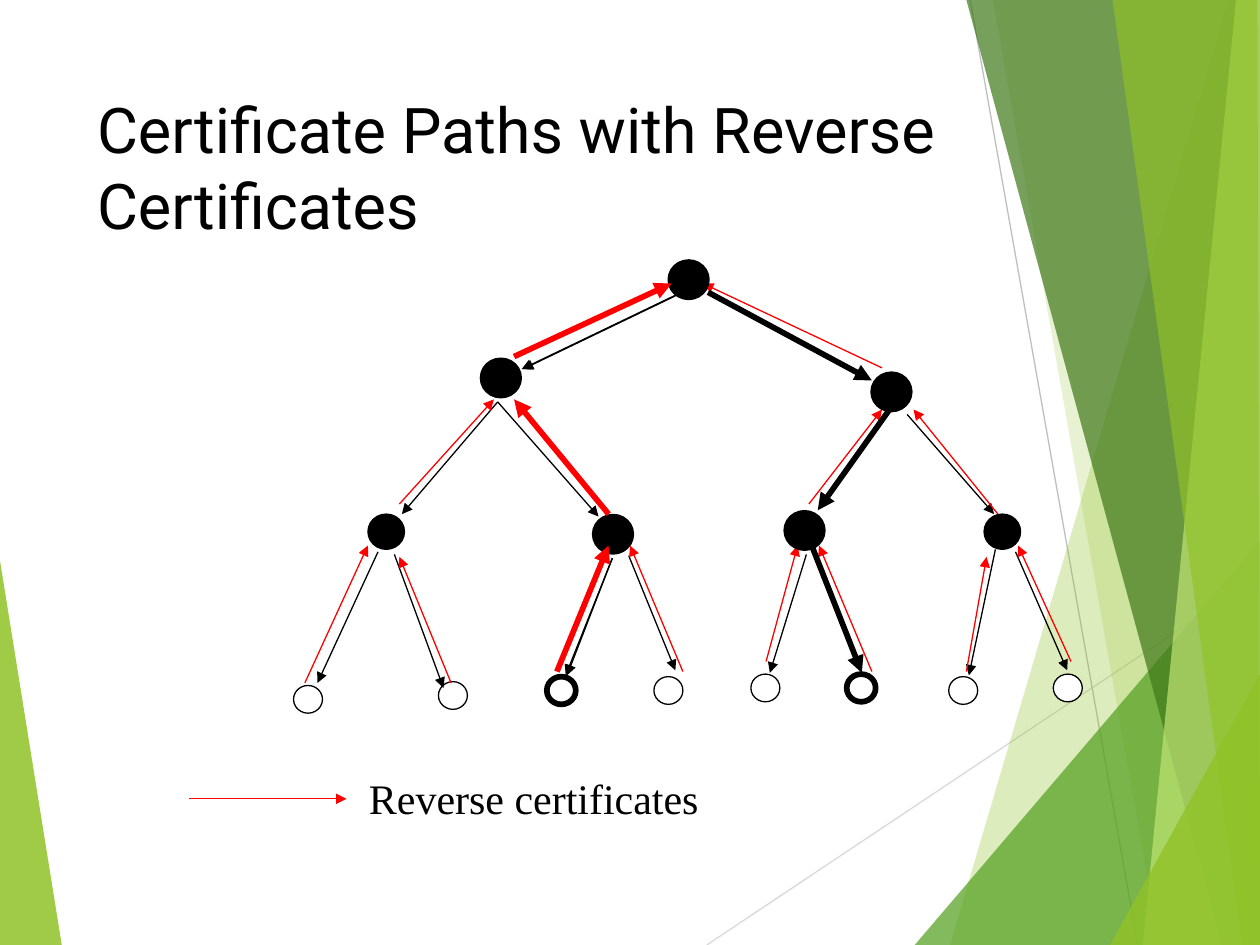
from lxml import etree
from pptx import Presentation
from pptx.dml.color import RGBColor
from pptx.enum.shapes import MSO_CONNECTOR, MSO_SHAPE
from pptx.enum.text import MSO_ANCHOR, PP_ALIGN
from pptx.oxml.ns import qn
from pptx.util import Inches, Pt

LINE, OVAL = MSO_CONNECTOR.STRAIGHT, MSO_SHAPE.OVAL
TOP, LEFT = MSO_ANCHOR.TOP, PP_ALIGN.LEFT
WIDE, HIGH = 10, 7.5
THIN, BOLD = 0.75, 3.25
BIG, SMALL = (0.29, 0.28), (0.23, 0.22)

COLORS = {
    "black": "000000", "white": "FFFFFF", "red": "FF0000",
    "pale": "D9D9D9", "gray": "BFBFBF",
    "lime": "90C226", "green": "54A021", "dark": "3F7819", "light": "C0E474",
}

# Backdrop facets: color, opacity in percent, corners
WEDGE = ("lime", 85, [(0, 4.45), (0.49, HIGH), (0, HIGH)])
FACETS = [
    ("lime", 30, [(9.75, 0), (7.54, HIGH), (WIDE, HIGH), (WIDE, 0)]),
    ("lime", 20, [(7.88, 0), (9.2, HIGH), (WIDE, HIGH), (WIDE, 0)]),
    ("green", 72, [(7.26, HIGH), (WIDE, 4.29), (WIDE, HIGH)]),
    ("dark", 70, [(7.67, 0), (9.7, HIGH), (WIDE, HIGH), (WIDE, 0)]),
    ("light", 70, [(9.81, 0), (9.07, HIGH), (WIDE, HIGH), (WIDE, 0)]),
    ("lime", 65, [(8.83, 0), (9.86, HIGH), (WIDE, HIGH), (9.98, 0)]),
    ("lime", 80, [(8.81, HIGH), (WIDE, 5.35), (WIDE, HIGH)]),
]

# Tree nodes: left, top
PLAIN_NODES = [(2.92, 4.08), (7.81, 4.08)]
PLAIN_LEAVES = [(2.33, 5.44), (3.48, 5.41), (5.19, 5.37), (5.96, 5.35),
                (7.53, 5.37), (8.36, 5.35)]
PATH_NODES = [(5.32, 2.08), (3.83, 2.86), (6.93, 2.97), (4.72, 4.1), (6.24, 4.07)]
PATH_LEAVES = [(4.34, 5.37), (6.72, 5.35)]

# Arrows: from x, from y, to x, to y
ISSUED = [
    (5.46, 2.3, 4.15, 2.93), (5.45, 2.3, 4.14, 2.93),
    (3.95, 3.19, 3.19, 4.08), (3.95, 3.19, 4.75, 4.1), (7.2, 3.29, 7.89, 4.08),
    (3, 4.38, 2.52, 5.42), (3.13, 4.4, 3.52, 5.46),
    (4.86, 4.43, 4.5, 5.36), (4.86, 4.43, 4.49, 5.36), (4.99, 4.41, 5.36, 5.32),
    (6.4, 4.4, 6.11, 5.34), (7.9, 4.36, 7.69, 5.36), (8.06, 4.38, 8.47, 5.32),
]
REVERSE = [
    (7, 2.92, 5.58, 2.25), (3.17, 4, 3.92, 3.17),
    (6.42, 4, 7, 3.25), (7.92, 4.08, 7.25, 3.25),
    (2.42, 5.42, 2.92, 4.33), (3.58, 5.42, 3.17, 4.42), (5.42, 5.33, 5, 4.33),
    (6.08, 5.25, 6.33, 4.33), (6.92, 5.33, 6.5, 4.33),
    (7.67, 5.33, 7.83, 4.42), (8.5, 5.25, 8.08, 4.33),
]
PATH_DOWN = [(5.62, 2.32, 6.92, 3.02), (7.06, 3.25, 6.49, 4.05),
             (6.45, 4.35, 6.84, 5.34)]
PATH_UP = [(4.42, 5.33, 4.83, 4.33), (4.83, 4.08, 4.08, 3.17),
           (4.08, 2.83, 5.33, 2.25)]
KEY = (1.5, 6.34, 2.75, 6.34)


def rgb(name):
    return RGBColor.from_string(COLORS[name])


def facet(slide, color, alpha, spots):
    spots = [(Inches(x), Inches(y)) for x, y in spots]
    pen = slide.shapes.build_freeform(*spots[0])
    pen.add_line_segments(spots[1:], close=True)
    shape = pen.convert_to_shape()
    shape.shadow.inherit = False
    shape.line.fill.background()
    shape.fill.solid()
    shape.fill.fore_color.rgb = rgb(color)
    tint = shape.fill._xPr.find(".//" + qn("a:srgbClr"))
    etree.SubElement(tint, qn("a:alpha"), val=str(alpha * 1000))


def line(slide, ends, color, width=THIN, head=True):
    link = slide.shapes.add_connector(LINE, *map(Inches, ends))
    link.line.color.rgb = rgb(color)
    link.line.width = Pt(width)
    if head:
        etree.SubElement(link.line._get_or_add_ln(), qn("a:tailEnd"), type="triangle")
    etree.SubElement(link._element.spPr, qn("a:effectLst"))


def node(slide, spot, size, fill, width=THIN):
    shape = slide.shapes.add_shape(OVAL, *map(Inches, spot + size))
    shape.shadow.inherit = False
    shape.fill.solid()
    shape.fill.fore_color.rgb = rgb(fill)
    shape.line.color.rgb = rgb("black")
    shape.line.width = Pt(width)


def write(box, text, size, font, before=0):
    frame = box.text_frame
    frame.word_wrap = True
    frame.vertical_anchor = TOP
    para = frame.paragraphs[0]
    para.alignment = LEFT
    para.space_before = Pt(before)
    run = para.add_run()
    run.text = text
    run.font.size = Pt(size)
    run.font.name = font
    run.font.color.rgb = rgb("black")


def backdrop(slide):
    facet(slide, *WEDGE)
    line(slide, (5.61, HIGH, WIDE, 4.57), "pale", head=False)
    line(slide, (7.7, 0, 9.03, HIGH), "gray", head=False)
    for item in FACETS:
        facet(slide, *item)


def heading(slide):
    title = slide.shapes.title
    title.left, title.top = Inches(0.67), Inches(0.67)
    title.width, title.height = Inches(6.94), Inches(1.44)
    write(title, "Certificate Paths with Reverse Certificates", 36, "Roboto")
    slide.shapes._spTree.append(title._element)  # bring in front of the backdrop


def layer(slide, nodes, leaves, down, up, width):
    """Draw one set of nodes and arrows at one line width."""
    for spots, size, fill in ((nodes, BIG, "black"), (leaves, SMALL, "white")):
        for spot in spots:
            node(slide, spot, size, fill, width)
    for links, color in ((down, "black"), (up, "red")):
        for ends in links:
            line(slide, ends, color, width)


def legend(slide):
    line(slide, KEY, "red")
    box = slide.shapes.add_textbox(*map(Inches, (2.83, 6.08, 3.17, 0.5)))
    write(box, "Reverse certificates", 24, "Times New Roman", before=15)


def main():
    deck = Presentation()
    deck.slide_width, deck.slide_height = Inches(WIDE), Inches(HIGH)
    slide = deck.slides.add_slide(deck.slide_layouts[5])
    backdrop(slide)
    heading(slide)
    layer(slide, PLAIN_NODES, PLAIN_LEAVES, ISSUED, REVERSE, THIN)
    legend(slide)
    layer(slide, PATH_NODES, PATH_LEAVES, PATH_DOWN, PATH_UP, BOLD)
    deck.save("out.pptx")


if __name__ == "__main__":
    main()
